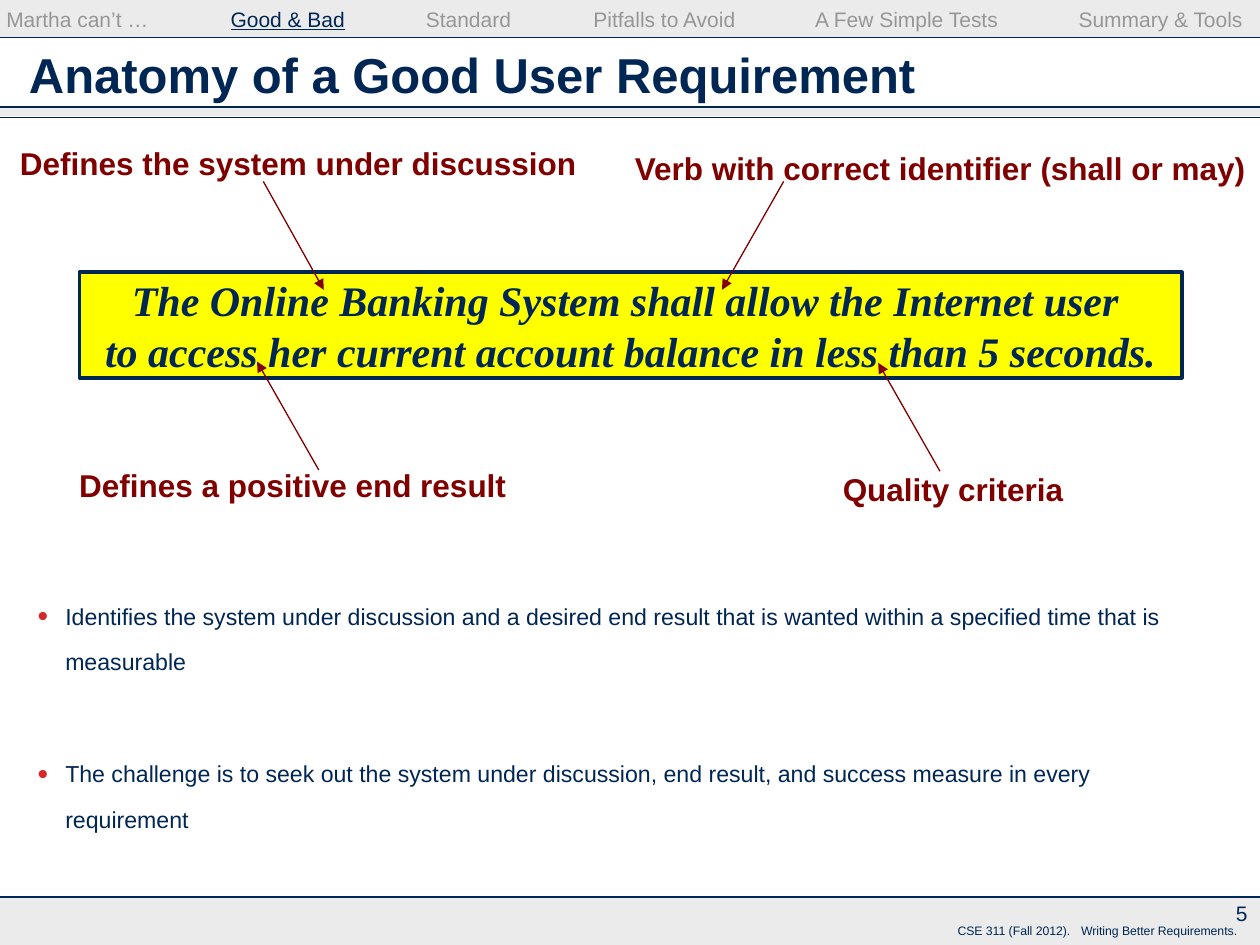
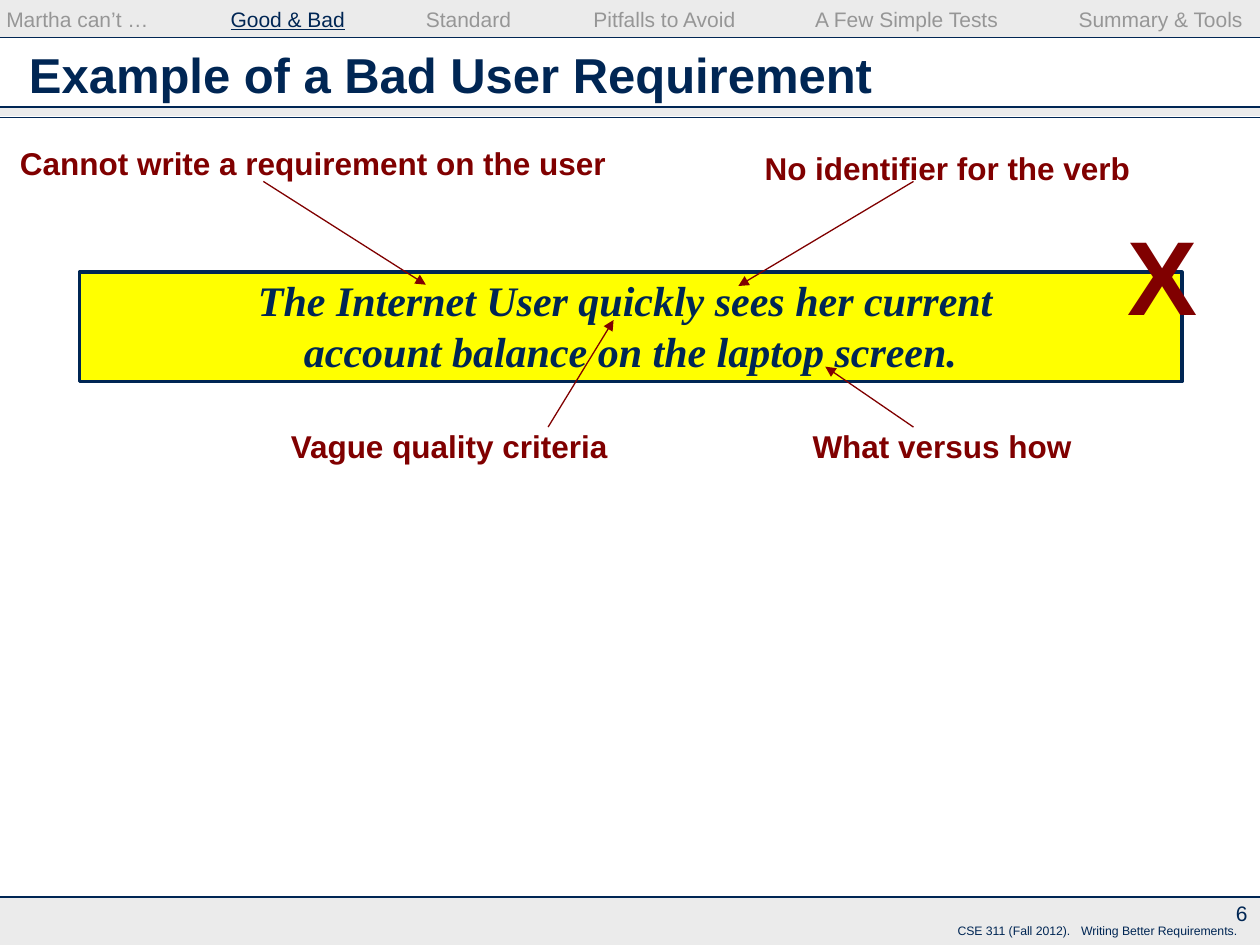
"""Build two slides on good and bad user requirements."""
from lxml.etree import SubElement
from pptx import Presentation
from pptx.dml.color import RGBColor
from pptx.enum.shapes import MSO_CONNECTOR, MSO_SHAPE
from pptx.enum.text import MSO_ANCHOR, MSO_AUTO_SIZE, PP_ALIGN
from pptx.oxml.ns import qn
from pptx.util import Inches, Pt

COLORS = {"navy": "002654", "maroon": "800000", "gray": "969696",
          "band": "CDCDCD", "yellow": "FFFF00", "bullet": "D62828"}
COLS, ROWS = 10, 7.5

SECTIONS = ["Martha can’t …", "Good & Bad", "Standard", "Pitfalls to Avoid",
            "A Few Simple Tests", "Summary & Tools"]
CURRENT = "Good & Bad"
SECTION_TABS = [1.78, 3.33, 4.66, 6.42, 8.51]
FOOTER = ["CSE 311 (Fall 2012).", "Writing Better Requirements."]
BANDS = [(0, 0.3), (0.85, 0.07), (7.12, 0.38)]
RULES = [0.3, 0.85, 0.93, 7.12]

STYLES = {
    "title": {"name": "Arial", "size": Pt(28), "bold": True},
    "sentence": {"name": "Times New Roman", "size": Pt(24), "bold": True, "italic": True},
    "label": {"name": "Arial", "size": Pt(18), "bold": True},
    "cross": {"name": "Arial", "size": Pt(60), "bold": True},
    "body": {"name": "Arial", "size": Pt(13.2)},
    "nav": {"name": "Arial", "size": Pt(12)},
    "current": {"name": "Arial", "size": Pt(12), "underline": True},
    "footer": {"name": "Arial", "size": Pt(7)},
}

SLIDES = [
    {"number": 5, "title": "Anatomy of a Good User Requirement",
     "sentence": "The Online Banking System shall allow the Internet user \v"
                 "to access her current account balance in less than 5 seconds.",
     "height": 0.84,
     "labels": [
         ("Defines the system under discussion", (0.06, 1.09, 4.62), (2.09, 1.44), (2.57, 2.3)),
         ("Verb with correct identifier (shall or may)", (4.94, 1.13, 5.06), (6.22, 1.44), (5.73, 2.3)),
         ("Defines a positive end result", (0.53, 3.65, 3.59), (2.53, 3.73), (2.04, 2.87)),
         ("Quality criteria", (6.59, 3.68, 1.95), (7.46, 3.74), (6.97, 2.88))],
     "bullets": [
         "Identifies the system under discussion and a desired end result that is "
         "wanted within a specified time that is measurable",
         "The challenge is to seek out the system under discussion, end result, "
         "and success measure in every requirement"]},
    {"number": 6, "title": "Example of a Bad User Requirement",
     "sentence": "The Internet User quickly sees her current \v"
                 "account balance on the laptop screen.",
     "height": 0.87,
     "labels": [
         ("Cannot write a requirement on the user", (0.06, 1.09, 4.85), (2.09, 1.44), (3.38, 2.26)),
         ("No identifier for the verb", (5.97, 1.13, 3.1), (7.25, 1.44), (5.86, 2.27)),
         ("Vague quality criteria", (2.21, 3.34, 2.73), (4.35, 3.39), (4.87, 2.54)),
         ("What versus how", (6.35, 3.34, 2.25), (7.25, 3.39), (6.55, 2.91))],
     "cross": "X"},
]

prs = Presentation()
prs.slide_width, prs.slide_height = Inches(10), Inches(7.5)


def place(*lengths):
    units = (prs.slide_width / COLS, prs.slide_height / ROWS)
    return [int(n * units[i % 2]) for i, n in enumerate(lengths)]


def rgb(name):
    return RGBColor.from_string(COLORS[name])


def set_all(target, values):
    for key, value in values.items():
        setattr(target, key, value)


def write(p, text, style, color="navy"):
    p.text = text if not p.runs else p.text
    for r in p.runs:
        set_all(r.font, STYLES[style])
        r.font.color.rgb = rgb(color)


def frame(sp, insets=(0.1, 0.05, 0.1, 0.05), wrap=False, anchor=MSO_ANCHOR.TOP):
    tf = sp.text_frame
    names = ("margin_left", "margin_top", "margin_right", "margin_bottom")
    set_all(tf, dict(zip(names, map(Inches, insets))))
    set_all(tf, {"word_wrap": wrap, "vertical_anchor": anchor,
                 "auto_size": MSO_AUTO_SIZE.NONE})
    return tf


def add_text(s, box, text, style, color="navy", align=PP_ALIGN.LEFT, **options):
    p = frame(s.shapes.add_textbox(*place(*box)), **options).paragraphs[0]
    p.alignment = align
    write(p, text, style, color)


def add_tabbed(s, box, parts, stops):
    p = frame(s.shapes.add_textbox(*place(*box)), (0, 0, 0, 0), True).paragraphs[0]
    tabs = SubElement(p._p.get_or_add_pPr(), qn("a:tabLst"))
    for stop in stops:
        SubElement(tabs, qn("a:tab"), pos=str(Inches(stop)), algn="l")
    for i, (text, style, color) in enumerate(parts):
        r = p.add_run()
        r.text = text
        set_all(r.font, STYLES[style])
        r.font.color.rgb = rgb(color)
        if i < len(parts) - 1:
            gap = p.add_run()
            gap.text = "\t"
            gap.font.size = STYLES[style]["size"]


def add_box(s, box, fill, alpha=None):
    sp = s.shapes.add_shape(MSO_SHAPE.RECTANGLE, *place(*box))
    sp.shadow.inherit = False
    sp.fill.solid()
    sp.fill.fore_color.rgb = rgb(fill)
    sp.line.fill.background()
    if alpha:
        color = sp._element.spPr.find(qn("a:solidFill"))[0]
        SubElement(color, qn("a:alpha"), val=str(alpha * 1000))
    return sp


def add_line(s, start, end, color, arrow=False):
    sp = s.shapes.add_connector(MSO_CONNECTOR.STRAIGHT, *place(*start, *end))
    sp.line.color.rgb = rgb(color)
    sp.line.width = Pt(0.74)
    if arrow:
        SubElement(sp.line._get_or_add_ln(), qn("a:tailEnd"), type="triangle")
    SubElement(sp._element.spPr, qn("a:effectLst"))


def add_frame(s, title, number):
    for top, height in BANDS:
        add_box(s, (0, top, COLS, height), "band", 40)
    for top in RULES:
        add_line(s, (0, top), (COLS, top), "navy")
    add_tabbed(s, (7.6, 7.33, 2.4, 0.15), [(t, "footer", "navy") for t in FOOTER], [0.98])
    add_text(s, (9.3, 7.08, 0.7, 0.34), str(number), "nav",
             align=PP_ALIGN.RIGHT, anchor=MSO_ANCHOR.MIDDLE)
    nav = [(t, "current", "navy") if t == CURRENT else (t, "nav", "gray") for t in SECTIONS]
    add_tabbed(s, (0.05, 0.05, 9.95, 0.25), nav, SECTION_TABS)
    sp = s.shapes.title
    set_all(sp, dict(zip(("left", "top", "width", "height"), place(0.13, 0.26, 9.74, 0.66))))
    p = frame(sp, wrap=True, anchor=MSO_ANCHOR.MIDDLE).paragraphs[0]
    p.alignment = PP_ALIGN.LEFT
    write(p, title, "title")


def add_sentence(s, text, height):
    sp = add_box(s, (0.63, 2.16, 8.75, height), "yellow")
    sp.line.color.rgb = rgb("navy")
    sp.line.width = Pt(2)
    p = frame(sp, (0, 0.02, 0, 0), True).paragraphs[0]
    p.alignment = PP_ALIGN.CENTER
    write(p, text, "sentence")


def add_bullets(s, items):
    tf = frame(s.shapes.add_textbox(*place(0, 4.64, 9.74, 2.2)), (0.1, 0, 0.1, 0), True)
    for i, text in enumerate(items):
        p = tf.add_paragraph() if i else tf.paragraphs[0]
        p.line_spacing = Pt(26)
        p.space_before = Pt(38 if i else 0)
        pPr = p._p.get_or_add_pPr()
        pPr.set("marL", str(Inches(0.42)))
        pPr.set("indent", str(Inches(-0.22)))
        SubElement(SubElement(pPr, qn("a:buClr")), qn("a:srgbClr"), val=COLORS["bullet"])
        SubElement(pPr, qn("a:buSzPct"), val="130000")
        SubElement(pPr, qn("a:buFont"), typeface="Arial")
        SubElement(pPr, qn("a:buChar"), char="•")
        write(p, text, "body")


for content in SLIDES:
    s = prs.slides.add_slide(prs.slide_layouts[5])
    add_frame(s, content["title"], content["number"])
    add_sentence(s, content["sentence"], content["height"])
    for text, (left, top, width), start, end in content["labels"]:
        add_text(s, (left, top, width, 0.4), text, "label", "maroon")
        add_line(s, start, end, "maroon", arrow=True)
    if "bullets" in content:
        add_bullets(s, content["bullets"])
    if "cross" in content:
        add_text(s, (8.85, 1.62, 0.75, 1.1), content["cross"], "cross", "maroon")

prs.save("out.pptx")
